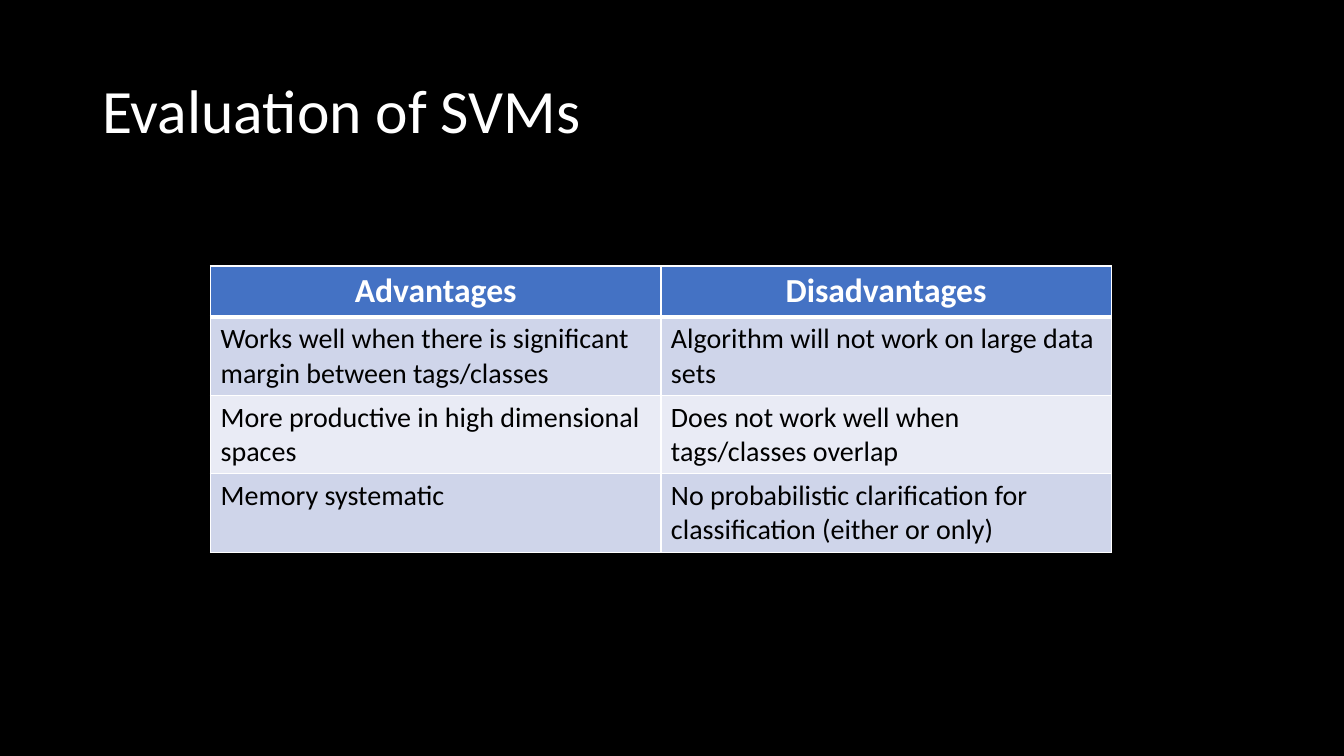
from lxml import etree
from pptx import Presentation, util as u
from pptx.dml.color import RGBColor
from pptx.enum import text
from pptx.oxml.ns import qn

WHITE, BLACK = "FFFFFF", "000000"
HEADER_FILL, BAND_FILLS = "4472C4", ("CFD5EA", "E9EBF5")

EVALUATION = [
    ("Advantages", "Disadvantages"),
    ("Works well when there is significant margin between tags/classes",
     "Algorithm will not work on large data sets"),
    ("More productive in high dimensional spaces",
     "Does not work well when tags/classes overlap"),
    ("Memory systematic",
     "No probabilistic clarification for classification (either or only)"),
]


def color(hex_value):
    return RGBColor.from_string(hex_value)


class Deck:
    font_name = "Calibri"

    def __init__(self, width, height):
        self.deck = Presentation()
        self.deck.slide_width, self.deck.slide_height = u.Pt(width), u.Pt(height)
        self.slide = None

    def add_slide(self, background):
        self.slide = self.deck.slides.add_slide(self.deck.slide_layouts[6])
        fill = self.slide.background.fill
        fill.solid()
        fill.fore_color.rgb = color(background)

    def add_wording(self, frame, wording, ink, size, bold=False, **paragraph_format):
        paragraph = frame.paragraphs[0]
        for name, value in paragraph_format.items():
            setattr(paragraph, name, value)
        run = paragraph.add_run()
        run.text = wording
        run.font.color.rgb = color(ink)
        font_format = {"name": self.font_name, "size": u.Pt(size), "bold": bold}
        for name, value in font_format.items():
            setattr(run.font, name, value)

    def title(self, wording, left, top, width, height):
        frame = self.slide.shapes.add_textbox(
            *map(u.Pt, (left, top, width, height))).text_frame
        frame.word_wrap = True
        frame.vertical_anchor = text.MSO_ANCHOR.MIDDLE
        self.add_wording(frame, wording, WHITE, 44, line_spacing=0.9)

    def border(self, cell, bottom):
        """Draw 1 pt white edges, with the bottom edge of the given weight."""
        properties = cell._tc.get_or_add_tcPr()
        for side, weight in {"L": 1, "R": 1, "T": 1, "B": bottom}.items():
            edge = etree.SubElement(properties, qn(f"a:ln{side}"), w=str(u.Pt(weight)))
            paint = etree.SubElement(edge, qn("a:solidFill"))
            etree.SubElement(paint, qn("a:srgbClr"), val=WHITE)

    def table(self, rows, left, top, width, header_height, body_height):
        heights = [header_height] + [body_height] * (len(rows) - 1)
        grid = self.slide.shapes.add_table(
            len(rows), len(rows[0]),
            *map(u.Pt, (left, top, width, sum(heights)))).table
        for r, (wordings, height) in enumerate(zip(rows, heights)):
            grid.rows[r].height = u.Pt(height)
            header = r == 0
            fill = HEADER_FILL if header else BAND_FILLS[(r - 1) % 2]
            style = (dict(ink=WHITE, size=24, bold=True, alignment=text.PP_ALIGN.CENTER)
                     if header else dict(ink=BLACK, size=20))
            for c, wording in enumerate(wordings):
                cell = grid.cell(r, c)
                self.border(cell, bottom=3 if header else 1)
                cell.fill.solid()
                cell.fill.fore_color.rgb = color(fill)
                self.add_wording(cell.text_frame, wording, **style)


def main():
    svm = Deck(960, 540)
    svm.add_slide(BLACK)
    svm.title("Evaluation of SVMs", 66, 28.8, 828, 104.4)
    svm.table(EVALUATION, 150.4, 190, 643.4, header_height=36.5, body_height=56)
    svm.deck.save("out.pptx")


if __name__ == "__main__":
    main()
